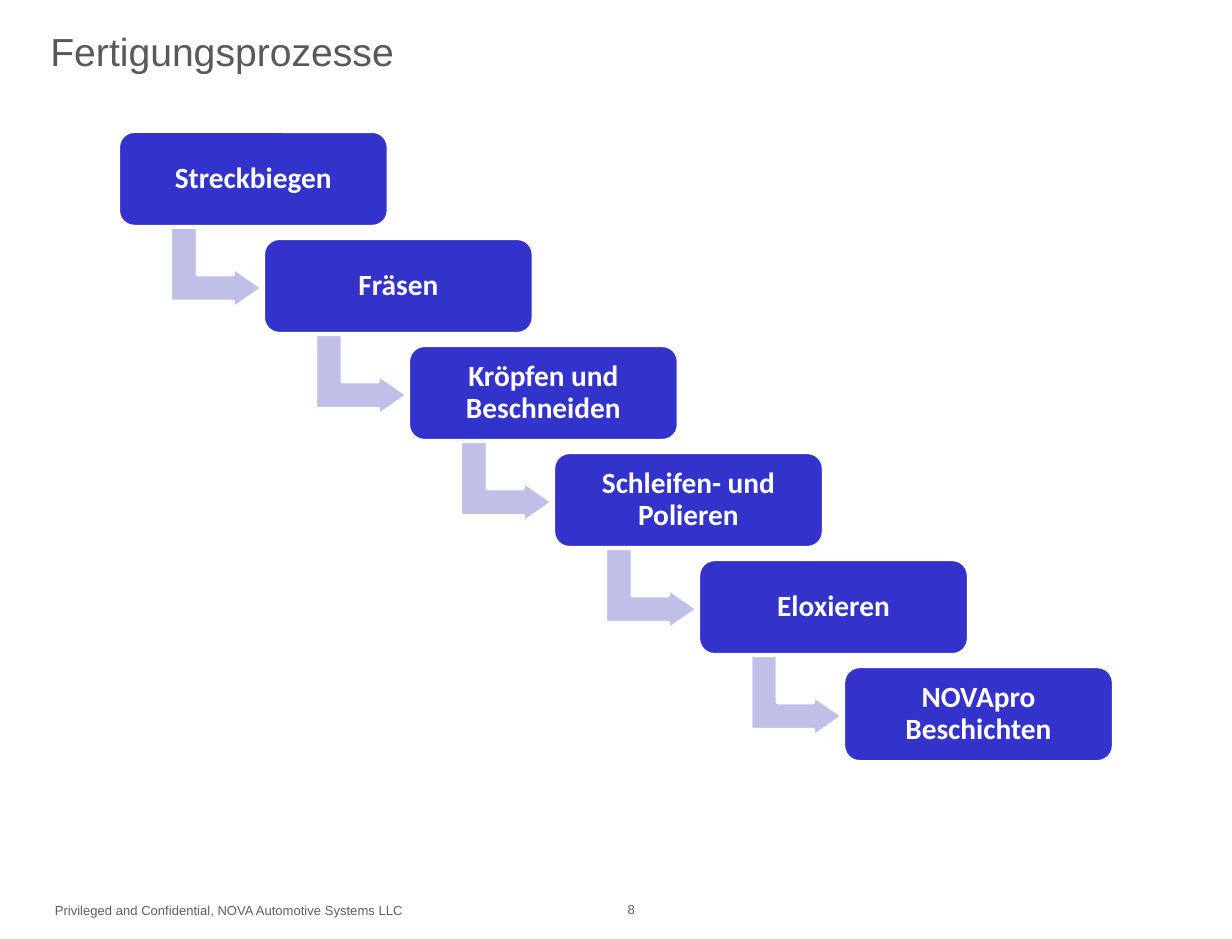
from pptx import Presentation
from pptx.dml.color import RGBColor
from pptx.enum.shapes import MSO_SHAPE as SHAPE
from pptx.enum.text import MSO_ANCHOR as ANCHOR, PP_ALIGN as ALIGN
from pptx.util import Pt

COLORS = {
    "step": "3333CC",
    "arrow": "BFBFE7",
    "white": "FFFFFF",
    "title": "595959",
    "footer": "606060",
}
STEPS = [
    "Streckbiegen",
    "Fräsen",
    "Kröpfen und Beschneiden",
    "Schleifen- und Polieren",
    "Eloxieren",
    "NOVApro Beschichten",
]
STEP_LEFT, STEP_TOP = 72.7, 80.6
STEP_WIDTH, STEP_HEIGHT = 165.6, 58.3
SHIFT_X, SHIFT_Y = 89, 65.66
ARROW_LEFT, ARROW_TOP = 108, 136.1
ARROW_WIDTH, ARROW_HEIGHT = 49.6, 56.4


def color(name):
    return RGBColor.from_string(COLORS[name])


def set_values(target, values):
    for name, value in values.items():
        setattr(target, name, value)


def write(shape, text, font, margins, anchor, align=ALIGN.LEFT, spacing=1.0):
    frame = shape.text_frame
    side, edge = margins
    set_values(frame, {
        "word_wrap": True,
        "vertical_anchor": anchor,
        "margin_left": Pt(side),
        "margin_right": Pt(side),
        "margin_top": Pt(edge),
        "margin_bottom": Pt(edge),
    })
    para = frame.paragraphs[0]
    set_values(para, {"alignment": align, "line_spacing": spacing})
    span = para.add_run()
    span.text = text
    name, size, shade, bold = font
    set_values(span.font, {"name": name, "size": Pt(size), "bold": bold})
    span.font.color.rgb = color(shade)


def add_label(page, area, text, font, margins, anchor=ANCHOR.TOP):
    box = page.shapes.add_textbox(*map(Pt, area))
    write(box, text, font, margins, anchor)


def add_block(page, kind, area, fill, adjustments):
    block = page.shapes.add_shape(kind, *map(Pt, area))
    block.shadow.inherit = False
    block.fill.solid()
    block.fill.fore_color.rgb = color(fill)
    block.line.color.rgb = color("white")
    block.line.width = Pt(2)
    for index, value in enumerate(adjustments):
        block.adjustments[index] = value
    return block


def add_arrow(page, index):
    area = (ARROW_LEFT + index * SHIFT_X, ARROW_TOP + index * SHIFT_Y,
            ARROW_WIDTH, ARROW_HEIGHT)
    arrow = add_block(page, SHAPE.BENT_UP_ARROW, area, "arrow", (0.33, 0.25, 0.36))
    arrow.rotation = 90


def add_step(page, index, text):
    area = (STEP_LEFT + index * SHIFT_X, STEP_TOP + index * SHIFT_Y,
            STEP_WIDTH, STEP_HEIGHT)
    step = add_block(page, SHAPE.ROUNDED_RECTANGLE, area, "step", (0.167,))
    write(step, text, ("Calibri", 18, "white", True), (5, 5),
          ANCHOR.MIDDLE, ALIGN.CENTER, 0.9)


def main():
    deck = Presentation()
    set_values(deck, {"slide_width": Pt(756), "slide_height": Pt(576)})
    page = deck.slides.add_slide(deck.slide_layouts[6])

    footer_font = ("Arial", 8, "footer", False)
    add_label(page, (26.6, 550, 309.6, 18),
              "Privileged and Confidential, NOVA Automotive Systems LLC",
              footer_font, (7.2, 3.6))
    add_label(page, (378, 549.4, 36, 18.7), "8", footer_font, (7.2, 3.6))
    add_label(page, (23, 0, 610.6, 62.6), "Fertigungsprozesse",
              ("Arial", 24, "title", False), (7.9, 3.6), ANCHOR.MIDDLE)

    for index, text in enumerate(STEPS):
        if index < len(STEPS) - 1:
            add_arrow(page, index)
        add_step(page, index, text)

    deck.save("out.pptx")


if __name__ == "__main__":
    main()
